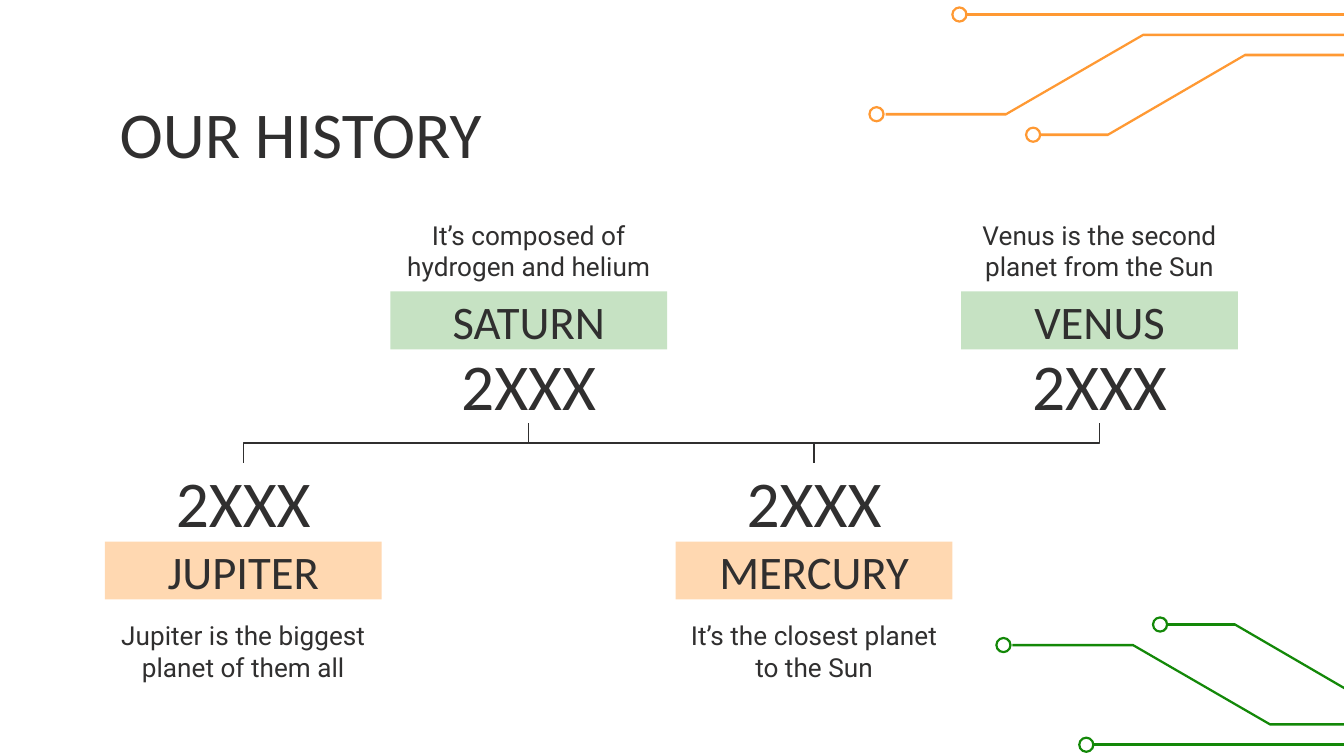
from pptx import Presentation, util as u
from pptx.dml import color
from pptx.enum import shapes, text
from pptx.oxml import ns, xmlchemy

Pt = u.Pt
COLORS = {"ink": "302F2F", "orange": "FF9933", "green": "138808"}
ALIGN = text.PP_ALIGN
ANCHOR = text.MSO_ANCHOR


def write(shape, words, size, font="Calibri", align=ALIGN.CENTER, anchor=ANCHOR.MIDDLE):
    frame = shape.text_frame
    frame.word_wrap = True
    frame.auto_size = text.MSO_AUTO_SIZE.NONE
    frame.vertical_anchor = anchor
    frame.margin_left = frame.margin_right = Pt(7.2)
    frame.margin_top = frame.margin_bottom = Pt(7.2)
    paragraph = frame.paragraphs[0]
    paragraph.alignment = align
    run = paragraph.add_run()
    run.text = words
    run.font.size = Pt(size)
    run.font.name = font
    run.font.color.rgb = color.RGBColor.from_string(COLORS["ink"])


class HistorySlide:
    """Holds the style and the current slide of a timeline."""

    def __init__(self, deck):
        self.slide = deck.slides.add_slide(deck.slide_layouts[5])
        self.shapes = self.slide.shapes

    def paint(self, shape, hue, opacity=100):
        shape.shadow.inherit = False
        shape.fill.solid()
        shape.fill.fore_color.rgb = color.RGBColor.from_string(COLORS[hue])
        shape.line.fill.background()
        if opacity < 100:
            tint = shape.fill._xPr.find(".//" + ns.qn("a:srgbClr"))
            alpha = xmlchemy.OxmlElement("a:alpha")
            alpha.set("val", str(opacity * 1000))
            tint.append(alpha)

    def title(self, words, left, top, width, height):
        heading = self.shapes.title
        heading.left, heading.top = Pt(left), Pt(top)
        heading.width, heading.height = Pt(width), Pt(height)
        write(heading, words, 35, align=ALIGN.LEFT, anchor=ANCHOR.TOP)

    def caption(self, words, left, top, width, height, size, **style):
        box = self.shapes.add_textbox(Pt(left), Pt(top), Pt(width), Pt(height))
        write(box, words, size, **style)

    def label(self, words, left, top, width, height, hue, opacity):
        banner = self.shapes.add_shape(
            shapes.MSO_SHAPE.RECTANGLE, Pt(left), Pt(top), Pt(width), Pt(height))
        self.paint(banner, hue, opacity)
        write(banner, words, 25)

    def elbow(self, left, middle, span, drop, rising):
        centre = left + span / 2
        reach = drop / 2 if rising else -drop / 2
        branch = self.shapes.add_connector(
            shapes.MSO_CONNECTOR.ELBOW,
            Pt(centre + reach), Pt(middle - span / 2),
            Pt(centre - reach), Pt(middle + span / 2))
        branch.line.width = Pt(0.75)
        branch.line.color.rgb = color.RGBColor.from_string(COLORS["ink"])
        properties = branch._element.spPr
        properties.xfrm.set("rot", "16200000")
        properties.append(xmlchemy.OxmlElement("a:effectLst"))

    def trace(self, points, hue, thickness=1.4):
        upper = [(Pt(x), Pt(y - thickness / 2)) for x, y in points]
        lower = [(Pt(x), Pt(y + thickness / 2)) for x, y in reversed(points)]
        outline = self.shapes.build_freeform(*upper[0])
        outline.add_line_segments(upper[1:] + lower, close=True)
        self.paint(outline.convert_to_shape(), hue)

    def node(self, x, y, hue, size=8.8):
        ring = self.shapes.add_shape(
            shapes.MSO_SHAPE.DONUT, Pt(x - size / 2), Pt(y - size / 2), Pt(size), Pt(size))
        ring.adjustments[0] = 0.14
        self.paint(ring, hue)


EVENTS = [
    ("JUPITER", "Jupiter is the biggest planet of them all"),
    ("SATURN", "It’s composed of hydrogen and helium"),
    ("MERCURY", "It’s the closest planet to the Sun"),
    ("VENUS", "Venus is the second planet from the Sun"),
]
CIRCUITS = [
    ((469.6, 61.2), [(474.4, 61.2), (539, 61.2), (612.4, 18.7), (751, 18.7)]),
    ((553.5, 72.2), [(557.4, 72.2), (593.6, 72.2), (667, 29.5), (796.3, 29.5)]),
    ((514, 7.8), [(517.9, 7.8), (738.7, 7.8)]),
]
FIRST, STEP, WIDTH = 56.2, 152.9, 148.3


def main():
    deck = Presentation()
    deck.slide_width, deck.slide_height = Pt(720), Pt(405)
    history = HistorySlide(deck)
    history.title("OUR HISTORY", 56.9, 42.5, 607, 45.4)

    for order, (planet, fact) in enumerate(EVENTS):
        left = FIRST + order * STEP
        above = order % 2 == 1
        fact_top, label_top, year_top = (120.2, 156.2, 185) if above else (324.7, 290.2, 247.7)
        hue, opacity = ("green", 24) if above else ("orange", 38)
        history.label(planet, left, label_top, WIDTH, 31, hue, opacity)
        history.caption(fact, left, fact_top, WIDTH, 38.2, 14, font="Roboto",
                        anchor=ANCHOR.BOTTOM if above else ANCHOR.TOP)
        history.caption("2XXX", left, year_top, WIDTH, 41.8, 35)

    for order in range(len(EVENTS) - 1):
        history.elbow(FIRST + WIDTH / 2 + order * STEP, 237.3, STEP, 21, order % 2 == 1)

    for (x, y), points in CIRCUITS:
        history.trace(points, "orange")
        history.node(x, y, "orange")
        history.trace([(px + 68, 406.8 - py) for px, py in points], "green")
        history.node(x + 68, 406.8 - y, "green")

    deck.save("out.pptx")


if __name__ == "__main__":
    main()
